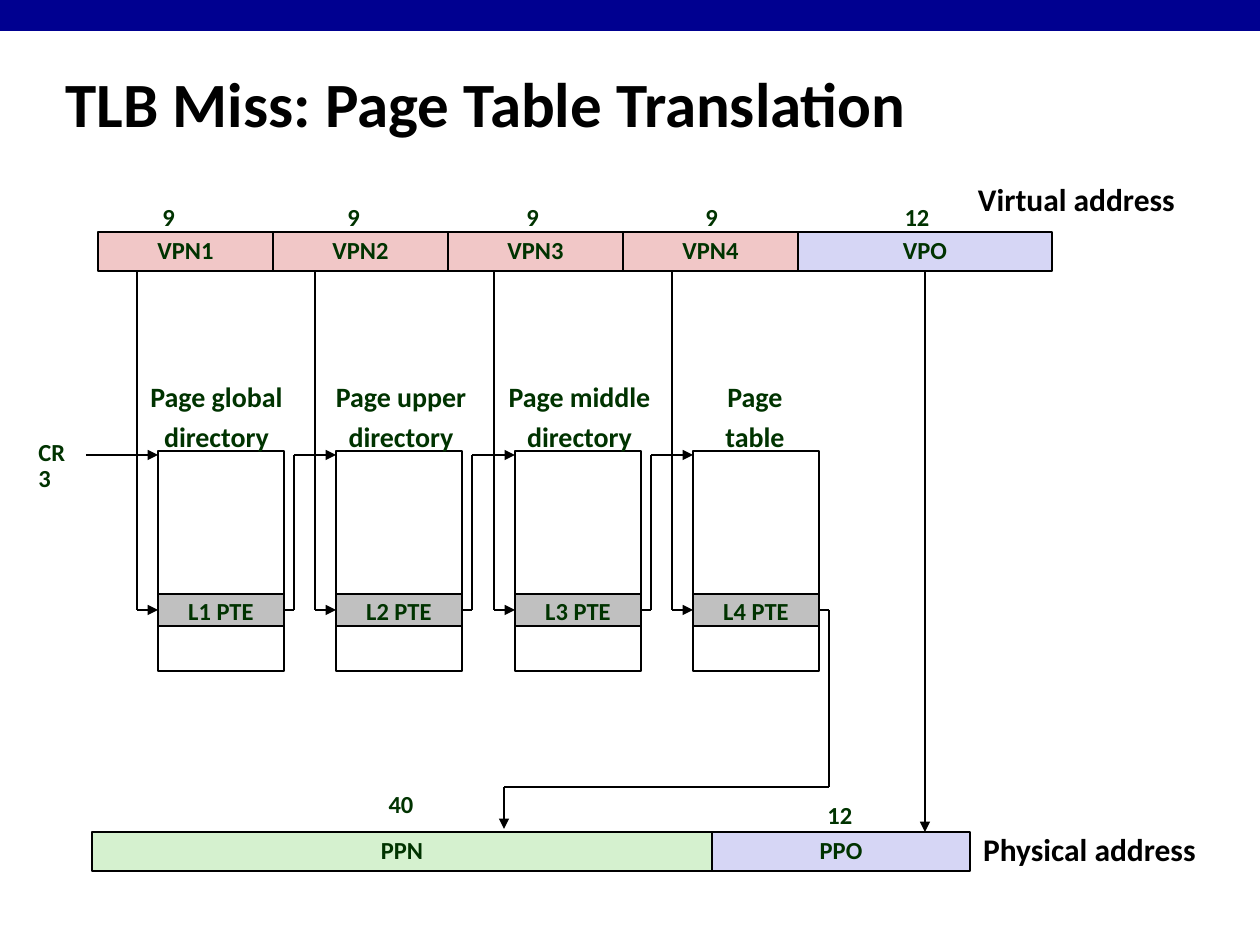
from dataclasses import dataclass

from lxml import etree
from pptx import Presentation
from pptx.dml.color import RGBColor
from pptx.enum.shapes import MSO_CONNECTOR, MSO_SHAPE
from pptx.enum.text import MSO_ANCHOR, MSO_AUTO_SIZE, PP_ALIGN
from pptx.oxml.ns import qn
from pptx.util import Pt

PX = 914400 / 126
RECTANGLE = MSO_SHAPE.RECTANGLE
STRAIGHT = MSO_CONNECTOR.STRAIGHT
LEFT, CENTER = PP_ALIGN.LEFT, PP_ALIGN.CENTER
MIDDLE, TOP = MSO_ANCHOR.MIDDLE, MSO_ANCHOR.TOP
FIXED_SIZE, GROW = MSO_AUTO_SIZE.NONE, MSO_AUTO_SIZE.SHAPE_TO_FIT_TEXT
LEFT_SIDE, BOTTOM_SIDE, RIGHT_SIDE = 1, 2, 3


@dataclass(frozen=True)
class Theme:
    font: str = "Calibri"
    banner: str = "000090"
    ink: str = "000000"
    label: str = "003300"
    white: str = "FFFFFF"
    virtual: str = "F1C7C7"
    offset: str = "D6D6F5"
    physical: str = "D5F1CF"
    entry: str = "C0C0C0"
    title_size: int = 36
    caption_size: int = 18
    heading_size: int = 16
    label_size: int = 14
    line_width: float = 0.75
    line_spacing: float = 0.88
    heading_gap: int = 6


def emu(*lengths):
    return [round(length * PX) for length in lengths]


class Diagram:
    def __init__(self, page, theme):
        self.page = page
        self.theme = theme

    def span(self, para, text, size, color):
        span = para.add_run()
        span.text = text
        span.font.name = self.theme.font
        span.font.size = Pt(size)
        span.font.bold = True
        span.font.color.rgb = RGBColor.from_string(color)

    def fill_text(self, frame, lines, size, color, align, anchor):
        frame.word_wrap = False
        frame.vertical_anchor = anchor
        for index, line in enumerate(lines):
            para = frame.add_paragraph() if index else frame.paragraphs[0]
            para.alignment = align
            para.line_spacing = self.theme.line_spacing
            if index:
                para.space_before = Pt(self.theme.heading_gap)
            self.span(para, line, size, color)

    def title(self, text, left, top, width, height):
        box = self.page.shapes.title
        box.left, box.top, box.width, box.height = emu(left, top, width, height)
        box.text_frame.auto_size = FIXED_SIZE
        box.text_frame.vertical_anchor = MIDDLE
        para = box.text_frame.paragraphs[0]
        para.alignment = LEFT
        self.span(para, text, self.theme.title_size, self.theme.ink)

    def rectangle(self, left, top, width, height, fill, text="", outlined=True):
        box = self.page.shapes.add_shape(RECTANGLE, *emu(left, top, width, height))
        box.shadow.inherit = False
        box.fill.solid()
        box.fill.fore_color.rgb = RGBColor.from_string(fill)
        if outlined:
            box.line.color.rgb = RGBColor.from_string(self.theme.ink)
            box.line.width = Pt(self.theme.line_width)
        else:
            box.line.fill.background()
        if text:
            self.fill_text(box.text_frame, [text], self.theme.label_size,
                           self.theme.label, CENTER, MIDDLE)
        return box

    def text(self, lines, left, top, width, height, size=None, color=None, align=CENTER):
        box = self.page.shapes.add_textbox(*emu(left, top, width, height))
        box.text_frame.auto_size = GROW
        self.fill_text(box.text_frame, lines, size or self.theme.label_size,
                       color or self.theme.label, align, TOP)

    def route(self, points, start=None, end=None):
        """Draw straight segments through points, with an arrowhead on the last.

        start and end are optional (shape, side) pairs to join.
        """
        segments = []
        for begin, finish in zip(points, points[1:]):
            segment = self.page.shapes.add_connector(STRAIGHT, *emu(*begin, *finish))
            segment.line.color.rgb = RGBColor.from_string(self.theme.ink)
            segment.line.width = Pt(self.theme.line_width)
            etree.SubElement(segment._element.spPr, qn("a:effectLst"))
            segments.append(segment)
        if start:
            segments[0].begin_connect(*start)
        if end:
            segments[-1].end_connect(*end)
        outline = segments[-1]._element.spPr.find(qn("a:ln"))
        etree.SubElement(outline, qn("a:tailEnd"), type="triangle")


# Heading lines, heading left and width, left of the bit count
LEVELS = [
    (["Page global", "directory"], 137, 159, 150),
    (["Page upper", "directory"], 322, 158, 335),
    (["Page middle", "directory"], 495, 169, 514),
    (["Page", "table"], 712, 86, 693),
]
TABLE_TOP, TABLE_WIDTH, TABLE_HEIGHT = 451, 126, 220
ENTRY_TOP, ENTRY_HEIGHT = 594, 32
ENTRY_MIDDLE = ENTRY_TOP + ENTRY_HEIGHT // 2
BASE_ARROW_Y = 455
BAR_TOP, BAR_HEIGHT = 232, 39
BAR_BOTTOM = BAR_TOP + BAR_HEIGHT
FRAME_TOP = 832
VPN_LEFT, VPN_WIDTH = 98, 175


def table_left(index):
    return 158 + index * 357 // 2


def draw_levels(diagram, theme):
    """Draw each VPN field with its table and return the entry boxes."""
    entries = []
    for index, (heading, heading_left, heading_width, count_left) in enumerate(LEVELS):
        left = table_left(index)
        diagram.rectangle(VPN_LEFT + index * VPN_WIDTH, BAR_TOP, VPN_WIDTH, BAR_HEIGHT,
                          theme.virtual, f"VPN{index + 1}")
        diagram.text(["9"], count_left, 200, 38, 39, align=LEFT)
        diagram.rectangle(left, TABLE_TOP, TABLE_WIDTH, TABLE_HEIGHT, theme.white)
        entry = diagram.rectangle(left, ENTRY_TOP, TABLE_WIDTH, ENTRY_HEIGHT,
                                  theme.entry, f"L{index + 1} PTE")
        entry.text_frame.margin_bottom = 0
        diagram.text(heading, heading_left, 378, heading_width, 83, theme.heading_size)
        diagram.route([(left - 21, BAR_BOTTOM), (left - 21, ENTRY_MIDDLE),
                       (left, ENTRY_MIDDLE)], end=(entry, LEFT_SIDE))
        entries.append(entry)
    return entries


def draw_links(diagram, entries):
    """Lead each entry to the next table, and the last one to the PPN."""
    for index, entry in enumerate(entries):
        right = table_left(index) + TABLE_WIDTH
        turn = right + 10
        if entry is entries[-1]:
            route_end = [(turn, 787), (504, 787), (504, 829)]
        else:
            route_end = [(turn, BASE_ARROW_Y), (table_left(index + 1), BASE_ARROW_Y)]
        diagram.route([(right, ENTRY_MIDDLE), (turn, ENTRY_MIDDLE), *route_end],
                      start=(entry, RIGHT_SIDE))


def main():
    deck = Presentation()
    deck.slide_width, deck.slide_height = emu(1260, 945)
    page = deck.slides.add_slide(deck.slide_layouts[5])
    theme = Theme()
    diagram = Diagram(page, theme)

    diagram.rectangle(0, 0, 1260, 31, theme.banner, outlined=False)
    diagram.title("TLB Miss: Page Table Translation", 53, 57, 1051, 91)

    entries = draw_levels(diagram, theme)
    draw_links(diagram, entries)
    diagram.text(["CR3"], 26, 435, 64, 39, align=LEFT)
    diagram.route([(86, BASE_ARROW_Y), (table_left(0), BASE_ARROW_Y)])

    vpo = diagram.rectangle(798, BAR_TOP, 254, BAR_HEIGHT, theme.offset, "VPO")
    diagram.rectangle(92, FRAME_TOP, 620, BAR_HEIGHT, theme.physical, "PPN")
    diagram.rectangle(712, FRAME_TOP, 258, BAR_HEIGHT, theme.offset, "PPO")
    diagram.route([(925, BAR_BOTTOM), (925, FRAME_TOP)], start=(vpo, BOTTOM_SIDE))

    for count, left, top in [("12", 892, 200), ("40", 376, 787), ("12", 815, 798)]:
        diagram.text([count], left, top, 50, 39)
    for caption, left, top, width in [("Virtual address", 965, 179, 223),
                                      ("Physical address", 970, 829, 239)]:
        diagram.text([caption], left, top, width, 45, theme.caption_size, theme.ink)

    deck.save("out.pptx")


if __name__ == "__main__":
    main()
